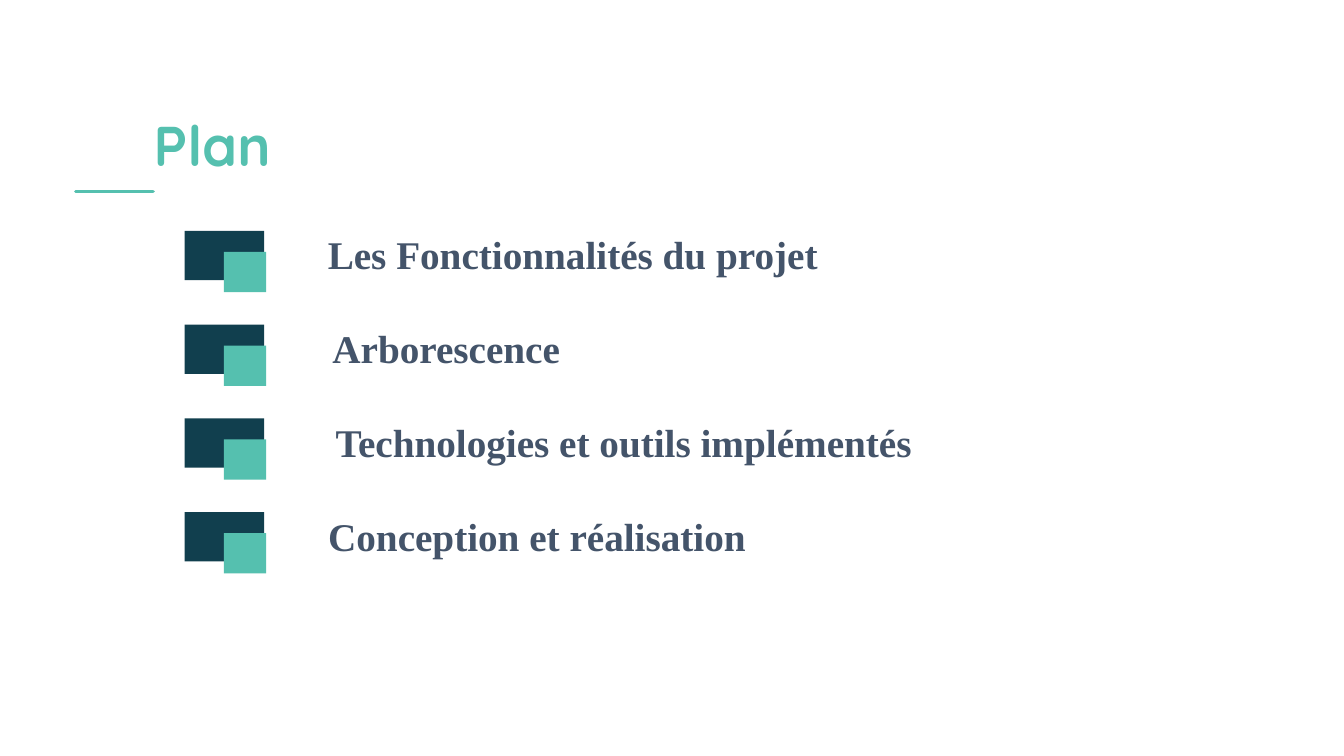
from pptx import Presentation
from pptx.dml.color import RGBColor
from pptx.enum.shapes import MSO_CONNECTOR, MSO_SHAPE
from pptx.enum.text import MSO_ANCHOR, PP_ALIGN
from pptx.oxml.ns import qn
from pptx.util import Inches, Pt
from lxml.etree import SubElement

TEAL = RGBColor(0x55, 0xC0, 0xAF)
NAVY = RGBColor(0x11, 0x3F, 0x4E)
SLATE = RGBColor(0x44, 0x54, 0x6A)

TITLE = "Plan"
TOPICS = [
    ("Les Fonctionnalités du projet", 5.1),
    ("Arborescence", 2.59),
    ("Technologies et outils implémentés", 6.11),
    ("Conception et réalisation", 4.39),
]
FIRST_TOP, ROW_STEP = 2.24, 0.93
TOPIC_LEFT, TOPIC_HEIGHT = 3.13, 0.57
MARKER = [
    (1.83, 0.05, 0.79, 0.49, NAVY),
    (2.22, 0.26, 0.42, 0.4, TEAL),
]


def set_text(s, text, font, size, color):
    tf = s.text_frame
    tf.word_wrap = True
    tf.vertical_anchor = MSO_ANCHOR.TOP
    tf.margin_left = tf.margin_right = 0
    tf.margin_top = tf.margin_bottom = Inches(0.05)
    p = tf.paragraphs[0]
    p.text = text
    p.alignment = PP_ALIGN.CENTER
    p.font.name = font
    p.font.size = Pt(size)
    p.font.bold = True
    p.font.color.rgb = color


def add_topic(shapes, text, top, width):
    group = shapes.add_group_shape().shapes
    box = group.add_textbox(Inches(TOPIC_LEFT), Inches(top),
                            Inches(width), Inches(TOPIC_HEIGHT))
    set_text(box, text, "Times New Roman", 28, SLATE)
    for left, offset, w, h, color in MARKER:
        sp = group.add_shape(MSO_SHAPE.RECTANGLE, Inches(left),
                             Inches(top + offset), Inches(w), Inches(h))
        sp.shadow.inherit = False
        sp.fill.solid()
        sp.fill.fore_color.rgb = color
        sp.line.fill.background()


def main():
    prs = Presentation()
    prs.slide_width = Inches(13.33)
    prs.slide_height = Inches(7.5)
    s = prs.slides.add_slide(prs.slide_layouts[5])

    title = s.shapes.title
    title.left, title.top = Inches(0.61), Inches(1.05)
    title.width, title.height = Inches(2.99), Inches(0.77)
    set_text(title, TITLE, "Quicksand", 40, TEAL)

    rule = s.shapes.add_connector(MSO_CONNECTOR.STRAIGHT, Inches(0.75),
                                  Inches(1.9), Inches(1.52), Inches(1.9))
    rule.line.color.rgb = TEAL
    rule.line.width = Pt(2.25)
    rule.line._ln.set("cap", "rnd")
    SubElement(rule._element.spPr, qn("a:effectLst"))

    for i, (text, width) in enumerate(TOPICS):
        add_topic(s.shapes, text, FIRST_TOP + i * ROW_STEP, width)

    prs.save("out.pptx")


if __name__ == "__main__":
    main()
